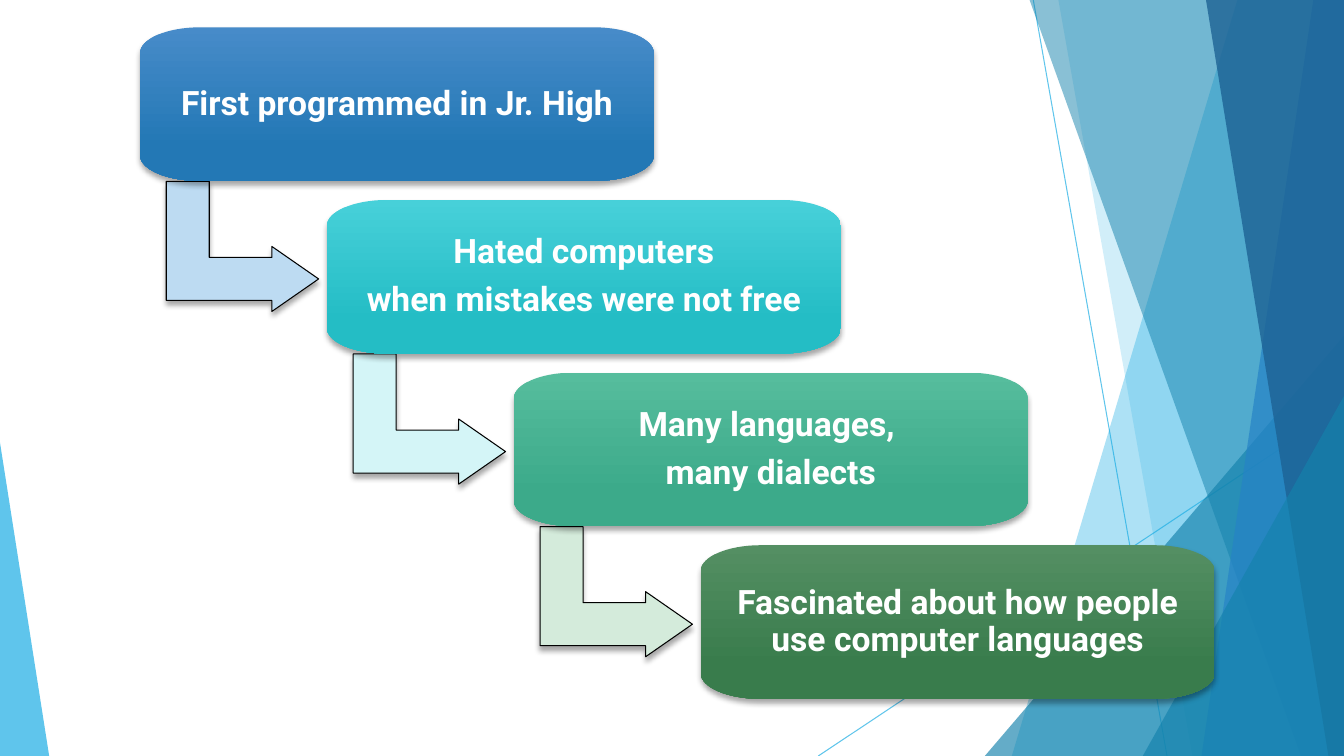
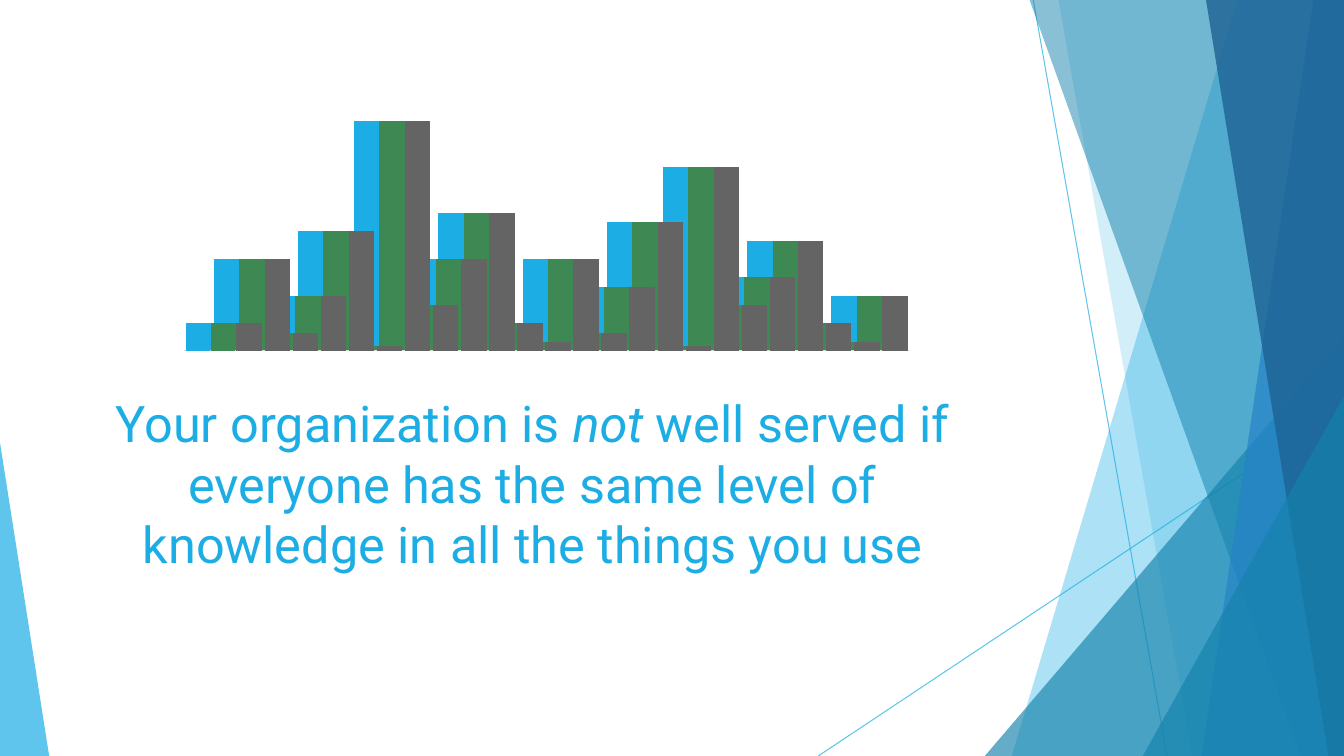
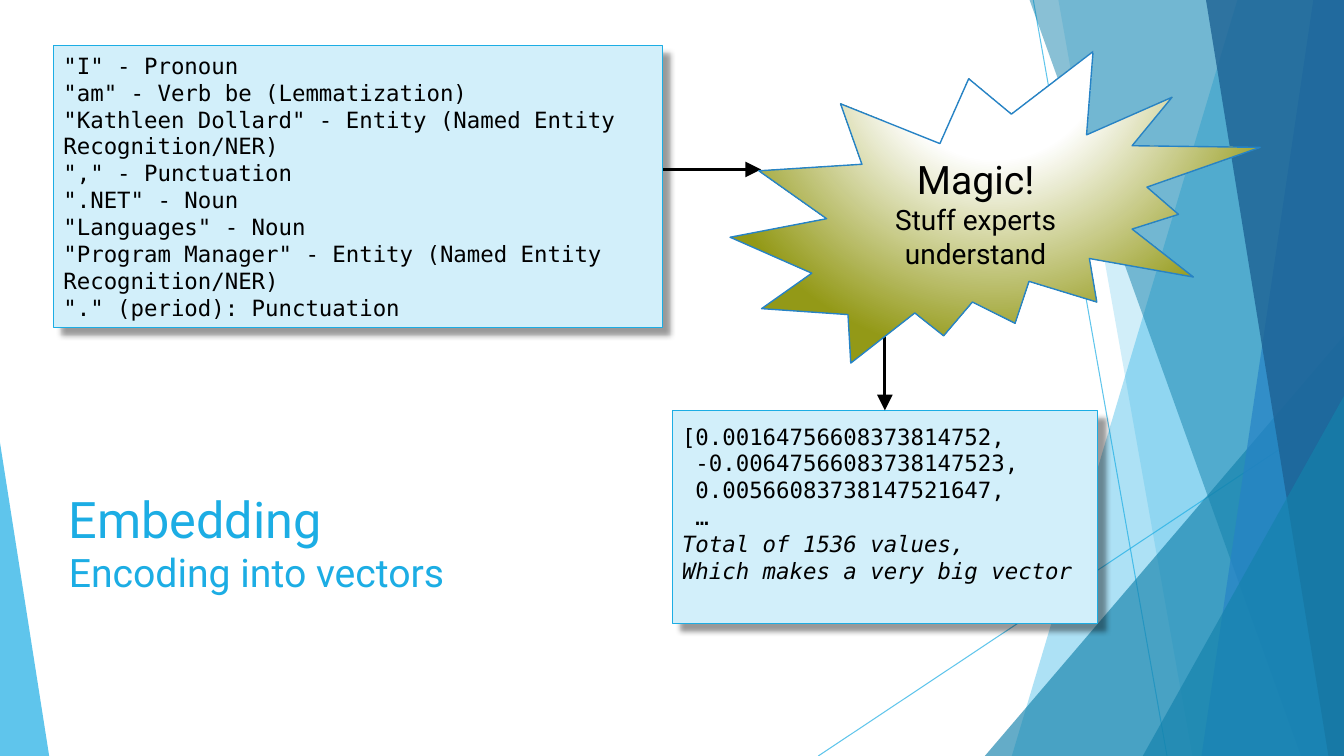
import pptx
import pptx.chart.data
import pptx.dml.color
import pptx.enum.chart
import pptx.enum.shapes
import pptx.enum.text
import pptx.oxml
import pptx.oxml.ns
import pptx.util

Cm, Pt = pptx.util.Cm, pptx.util.Pt
RGB = pptx.dml.color.RGBColor
SHAPE = pptx.enum.shapes.MSO_SHAPE
ALIGN = pptx.enum.text.PP_ALIGN
ANCHOR = pptx.enum.text.MSO_ANCHOR
qn = pptx.oxml.ns.qn

# Shared look
WIDTH, HEIGHT = 33.87, 19.05
FONT, MONO = "Roboto", "DejaVu Sans Mono"
BLACK, WHITE = RGB(0, 0, 0), RGB(255, 255, 255)
SKY = RGB(0x1C, 0xAD, 0xE4)
TEAL = RGB(0x14, 0x82, 0xAC)
BLUE = RGB(0x26, 0x83, 0xC6)
NAVY = RGB(0x1D, 0x62, 0x94)
GREEN = RGB(0x3E, 0x88, 0x53)
GRAY = RGB(0x64, 0x64, 0x64)
AXIS_GRAY = RGB(0xD9, 0xD9, 0xD9)
PALE = RGB(0xD2, 0xEF, 0xFA)
OLIVE = RGB(0x93, 0x99, 0x17)

# Backdrop: thin lines, bands (top x, bottom x) and triangles (box, apex)
BACKDROP_LINES = [(26.04, 0, 29.41, HEIGHT), (WIDTH, 10.24, 20.62, HEIGHT)]
BACKDROP = [
    ("band", (31.19, 25.5), SKY, 36),
    ("band", (26.67, 30.05), SKY, 20),
    ("triangle", (24.82, 8.46, 9.05, 10.59, 1), TEAL, 66),
    ("band", (25.94, 32.79), TEAL, 50),
    ("band", (33.1, 30.28), BLUE, 70),
    ("band", (30.39, 33.48), NAVY, 80),
    ("triangle", (28.8, 9.98, 5.07, 9.07, 1), TEAL, 66),
    ("triangle", (0, 11.15, 1.24, 7.9, 0), SKY, 70),
]

# Slide 1: lines, gradient from and to, colour of the arrow that follows
STEPS = [
    (["First programmed in Jr. High"],
     RGB(0x47, 0x8B, 0xC9), RGB(0x23, 0x78, 0xB5), RGB(0xBD, 0xDB, 0xF2)),
    (["Hated computers", "when mistakes were not free"],
     RGB(0x47, 0xD0, 0xD9), RGB(0x24, 0xBD, 0xC5), RGB(0xD4, 0xF5, 0xF7)),
    (["Many languages, ", "many dialects"],
     RGB(0x56, 0xBD, 0x9D), RGB(0x3C, 0xAA, 0x8A), RGB(0xD4, 0xEB, 0xDB)),
    (["Fascinated about how people use computer languages"],
     RGB(0x54, 0x8F, 0x63), RGB(0x39, 0x7C, 0x4C), None),
]

# Slide 2: title runs (text, italic) and the skyline
MESSAGE = [
    ("Your organization is ", False),
    ("not", True),
    (" well served if everyone has the same level of knowledge"
     " in all the things you use", False),
]
LEVELS = [12, 40, 8, 24, 52, 2, 100, 20, 40, 60, 12, 4,
          40, 8, 28, 56, 2, 80, 20, 32, 48, 12, 4, 24]
LAYER_COLORS = [SKY, GREEN, GRAY]

# Slide 3: paragraphs (text, size, italic)
TOKENS = [(t, 16, False) for t in [
    '"I" - Pronoun',
    '"am" - Verb be (Lemmatization)',
    '"Kathleen Dollard" - Entity (Named Entity Recognition/NER)',
    '"," - Punctuation',
    '".NET" - Noun',
    '"Languages" - Noun',
    '"Program Manager" - Entity (Named Entity Recognition/NER)',
    '"." (period): Punctuation',
]]
VECTOR = [
    ("[0.00164756608373814752,", 16, False),
    (" -0.00647566083738147523,", 16, False),
    (" 0.00566083738147521647,", 16, False),
    (" …", 16, False),
    ("Total of 1536 values,", 16, True),
    ("Which makes a very big vector", 16, True),
]
MAGIC = [("Magic!", 28, False), ("Stuff experts understand", 20, False)]
HEADING = [("Embedding", 36, False), ("Encoding into vectors", 28, False)]


def box(*lengths):
    return [Cm(v) for v in lengths]


def xml(text):
    """Parse one element, declaring the drawing and chart namespaces."""
    head, rest = text.split(" ", 1)
    return pptx.oxml.parse_xml(f"{head} {pptx.oxml.ns.nsdecls('a', 'c')} {rest}")


def style(shape, fill=None, line=None, width=1):
    shape.shadow.inherit = False
    if fill is not None:
        shape.fill.solid()
        shape.fill.fore_color.rgb = fill
    if line is None:
        shape.line.fill.background()
    else:
        shape.line.color.rgb = line
        shape.line.width = Pt(width)


def set_alpha(shape, percent):
    for color in shape.element.iter(qn("a:srgbClr")):
        color.append(xml(f'<a:alpha val="{percent * 1000}"/>'))


def add_shadow(shape, alpha, distance, angle):
    effects = shape.element.spPr.find(qn("a:effectLst"))
    effects.append(xml(
        f'<a:outerShdw blurRad="{Pt(4)}" dist="{Pt(distance)}" '
        f'dir="{angle * 60000}" algn="ctr" rotWithShape="0">'
        f'<a:srgbClr val="{BLACK}"><a:alpha val="{alpha * 1000}"/></a:srgbClr>'
        '</a:outerShdw>'))


def set_gradient(shape, stops, direction):
    shape.fill.gradient()
    old = shape.element.spPr.find(qn("a:gradFill"))
    marks = "".join(f'<a:gs pos="{pos * 1000}"><a:srgbClr val="{color}"/></a:gs>'
                    for pos, color in stops)
    new = xml(f'<a:gradFill rotWithShape="1"><a:gsLst>{marks}</a:gsLst>'
              f'{direction}</a:gradFill>')
    old.getparent().replace(old, new)


def add_line(shapes, ends, color, width, arrow=False):
    line = shapes.add_connector(
        pptx.enum.shapes.MSO_CONNECTOR.STRAIGHT, *box(*ends))
    line.line.color.rgb = color
    line.line.width = Pt(width)
    if arrow:
        line.line._get_or_add_ln().append(
            xml('<a:tailEnd type="triangle" w="lg" len="lg"/>'))
    line.element.spPr.append(xml("<a:effectLst />"))
    return line


def add_outline(shapes, points):
    corners = [tuple(box(*point)) for point in points]
    builder = shapes.build_freeform(*corners[0])
    builder.add_line_segments(corners[1:], close=True)
    return builder.convert_to_shape()


def write(tf, paragraphs, color, font=FONT, align=ALIGN.LEFT, anchor=ANCHOR.MIDDLE):
    tf.word_wrap = True
    tf.auto_size = pptx.enum.text.MSO_AUTO_SIZE.NONE
    tf.vertical_anchor = anchor
    for i, (text, size, italic) in enumerate(paragraphs):
        p = tf.paragraphs[0] if i == 0 else tf.add_paragraph()
        p.text = text
        p.alignment = align
        p.font.name, p.font.size = font, Pt(size)
        p.font.italic, p.font.color.rgb = italic, color


def place_title(s, top, height):
    title = s.shapes.title
    title.left, title.top, title.width, title.height = box(1.48, top, 23.88, height)
    return title.text_frame


def build_backdrop(prs, s):
    """Draw the backdrop as one group and move it to the slide master."""
    group = s.shapes.add_group_shape()
    for ends in BACKDROP_LINES:
        set_alpha(add_line(group.shapes, ends, SKY, 0.75), 70)
    for kind, place, color, alpha in BACKDROP:
        if kind == "band":
            top, bottom = place
            part = add_outline(group.shapes, [
                (top, -0.02), (WIDTH, -0.02), (WIDTH, HEIGHT), (bottom, HEIGHT)])
        else:
            part = group.shapes.add_shape(SHAPE.ISOSCELES_TRIANGLE, *box(*place[:4]))
            part.adjustments[0] = place[4]
        style(part, color)
        set_alpha(part, alpha)
    for i, props in enumerate(group.element.iter(qn("p:cNvPr"))):
        props.set("id", str(100 + i))
    prs.slide_master.shapes.element.insert(2, group.element)


def add_soft_box(shapes, left, top, width, height, rx, ry):
    """Box with elliptical corners: four sides joined by four curves."""
    sp = add_outline(shapes, [(left, top), (left + width, top),
                              (left + width, top + height), (left, top + height)])
    w, h = width, height
    # Each corner with the points where its curve starts and ends
    corners = [((0, ry), (0, 0), (rx, 0)),
               ((w - rx, 0), (w, 0), (w, ry)),
               ((w, h - ry), (w, h), (w - rx, h)),
               ((rx, h), (0, h), (0, h - ry))]

    def pt(x, y):
        return f'<a:pt x="{Cm(x)}" y="{Cm(y)}"/>'

    def toward(a, b):
        return [u + (v - u) * 0.55 for u, v in zip(a, b)]

    steps = []
    for i, (start, corner, end) in enumerate(corners):
        move = "lnTo" if i else "moveTo"
        steps.append(f"<a:{move}>{pt(*start)}</a:{move}>")
        steps.append(f"<a:cubicBezTo>{pt(*toward(start, corner))}"
                     f"{pt(*toward(end, corner))}{pt(*end)}</a:cubicBezTo>")
    outline = sp.element.spPr.find(qn("a:custGeom")).find(qn("a:pathLst"))
    outline.getparent().replace(outline, xml(
        f'<a:pathLst ><a:path w="{Cm(w)}" h="{Cm(h)}">{"".join(steps)}'
        '<a:close/></a:path></a:pathLst>'))
    return sp


def build_steps(s):
    for i, (lines, start, end, arrow_color) in enumerate(STEPS):
        left, top = 3.53 + 4.71 * i, 0.69 + 4.35 * i
        if arrow_color is not None:
            arrow = s.shapes.add_shape(
                SHAPE.BENT_UP_ARROW, *box(left + 0.94, top + 3.6, 3.28, 3.84))
            arrow.rotation = 90
            for k, value in enumerate((0.33, 0.25, 0.36)):
                arrow.adjustments[k] = value
            style(arrow, arrow_color, BLACK, 0.75)
            add_shadow(arrow, 35, 3, 90)
        step = add_soft_box(s.shapes, left, top, 12.95, 3.87, 1.5, 0.65)
        style(step)
        set_gradient(step, [(0, start), (78, end)], '<a:lin ang="5400000" scaled="0"/>')
        add_shadow(step, 35, 3, 90)
        tf = step.text_frame
        tf.margin_left = tf.margin_right = tf.margin_top = tf.margin_bottom = Cm(0.41)
        write(tf, [(line, 24, False) for line in lines], WHITE, align=ALIGN.CENTER)
        for p in tf.paragraphs:
            p.font.bold = True
            p.line_spacing = 0.9
            p.space_after = Pt(8.4)


def add_skyline(s, left, color):
    data = pptx.chart.data.CategoryChartData()
    data.categories = [str(n + 1) for n in range(len(LEVELS))]
    data.add_series("Series 1", LEVELS)
    chart = s.shapes.add_chart(
        pptx.enum.chart.XL_CHART_TYPE.COLUMN_CLUSTERED,
        *box(left, 0.55, 18.47, 8.38), data).chart
    chart.has_legend = chart.has_title = False
    chart.font.name, chart.font.size = FONT, Pt(10)
    chart.font.color.rgb = BLACK
    for axis in (chart.category_axis, chart.value_axis):
        axis.tick_label_position = pptx.enum.chart.XL_TICK_LABEL_POSITION.NONE
        axis.major_tick_mark = axis.minor_tick_mark = pptx.enum.chart.XL_TICK_MARK.NONE
        axis.has_major_gridlines = False
    chart.category_axis.format.line.color.rgb = AXIS_GRAY
    chart.category_axis.format.line.width = Pt(0.75)
    chart.value_axis.format.line.fill.background()
    chart.value_axis.minimum_scale, chart.value_axis.maximum_scale = 0, 120
    plot = chart.plots[0]
    plot.gap_width, plot.overlap, plot.vary_by_categories = 10, -27, False
    plot.series[0].format.fill.solid()
    plot.series[0].format.fill.fore_color.rgb = color

    # Fixed plot area and clear backgrounds, so that the layers show through
    area = chart.element.find(qn("c:chart")).find(qn("c:plotArea"))
    for layout in area.findall(qn("c:layout")):
        area.remove(layout)
    sizes = "".join(f'<c:{k} val="{v}"/>' for k, v in
                    [("x", 0.08), ("y", 0.16), ("w", 0.92), ("h", 0.83)])
    area.insert(0, xml(
        '<c:layout ><c:manualLayout><c:layoutTarget val="inner"/>'
        '<c:xMode val="edge"/><c:yMode val="edge"/>'
        f'{sizes}</c:manualLayout></c:layout>'))
    clear = "<c:spPr ><a:noFill/><a:ln><a:noFill/></a:ln></c:spPr>"
    area.append(xml(clear))
    chart.element.find(qn("c:chart")).addnext(xml(clear))


def build_message(s):
    tf = place_title(s, 8.95, 6.45)
    write(tf, [("", 36, False)], SKY, align=ALIGN.CENTER)
    for text, italic in MESSAGE:
        r = tf.paragraphs[0].add_run()
        r.text = text
        r.font.italic = italic
    for i, color in enumerate(LAYER_COLORS):
        add_skyline(s, 3.17 + 0.64 * i, color)


def add_code_box(s, place, paragraphs):
    sp = s.shapes.add_shape(SHAPE.RECTANGLE, *box(*place))
    style(sp, PALE, SKY, 0.25)
    add_shadow(sp, 40, 8, 45)
    write(sp.text_frame, paragraphs, BLACK, MONO)
    return sp


def build_embedding(s):
    write(place_title(s, 12.16, 3.66), HEADING, SKY, anchor=ANCHOR.TOP)
    add_line(s.shapes, (16.69, 4.27, 19.18, 4.27), BLACK, 2.25, arrow=True)
    add_code_box(s, (1.35, 1.14, 15.34, 7.11), TOKENS)
    vector = add_code_box(s, (16.94, 10.34, 10.72, 5.36), VECTOR)
    vector.text_frame.margin_bottom = Cm(0.8)
    add_line(s.shapes, (22.3, 6.68, 22.3, 10.34), BLACK, 2.25, arrow=True)
    burst = s.shapes.add_shape(SHAPE.EXPLOSION2, *box(18.4, 1.3, 13.36, 7.85))
    style(burst, line=BLUE)
    set_gradient(
        burst, [(0, WHITE), (35, WHITE), (100, OLIVE)],
        '<a:path path="circle">'
        '<a:fillToRect l="50000" t="-80000" r="50000" b="180000"/></a:path>')
    write(burst.text_frame, MAGIC, BLACK, align=ALIGN.CENTER)


def main():
    prs = pptx.Presentation()
    prs.slide_width, prs.slide_height = box(WIDTH, HEIGHT)
    blank, title_only = prs.slide_layouts[6], prs.slide_layouts[5]
    s = prs.slides.add_slide(blank)
    build_backdrop(prs, s)
    build_steps(s)
    build_message(prs.slides.add_slide(title_only))
    build_embedding(prs.slides.add_slide(title_only))
    prs.save("out.pptx")


if __name__ == "__main__":
    main()
